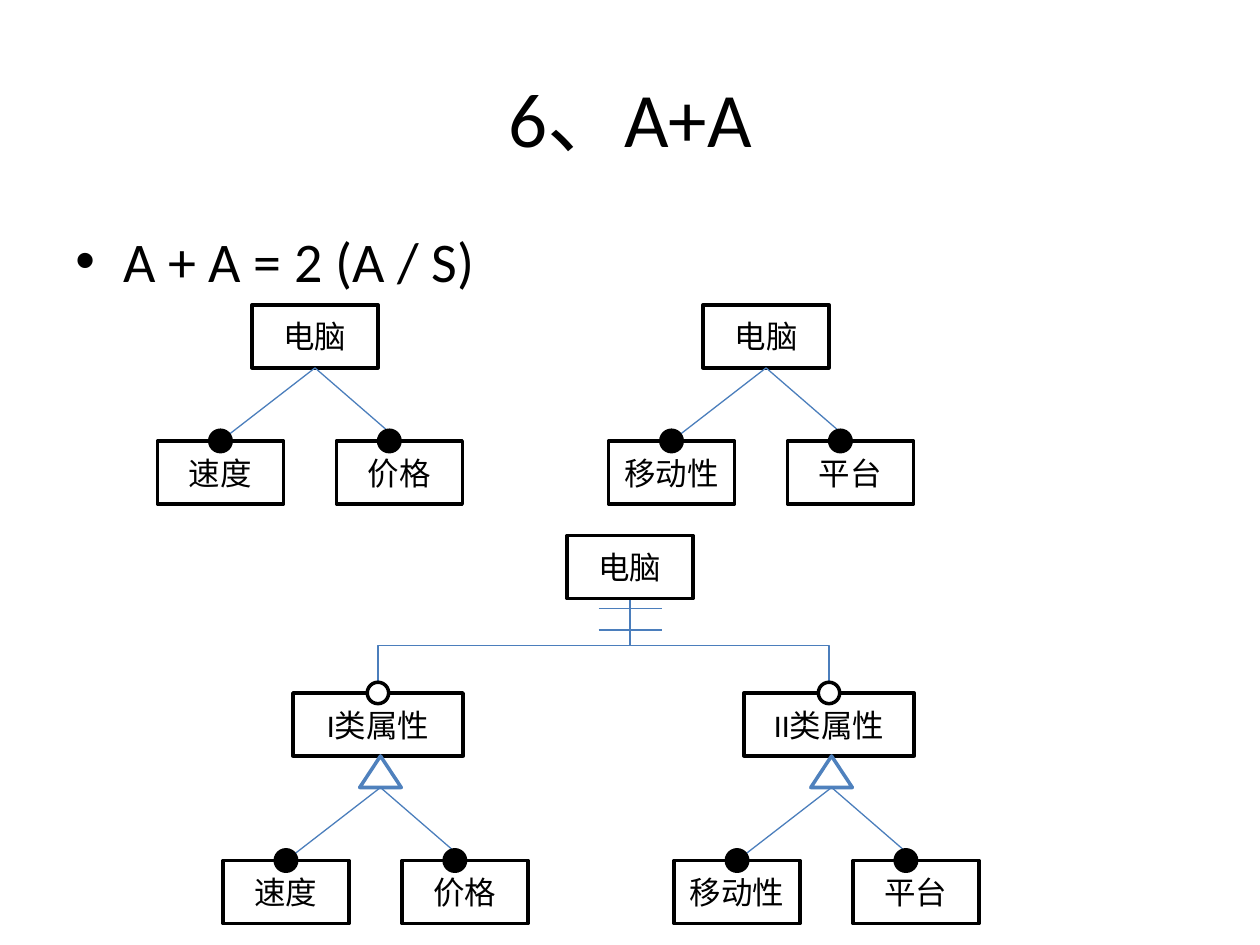
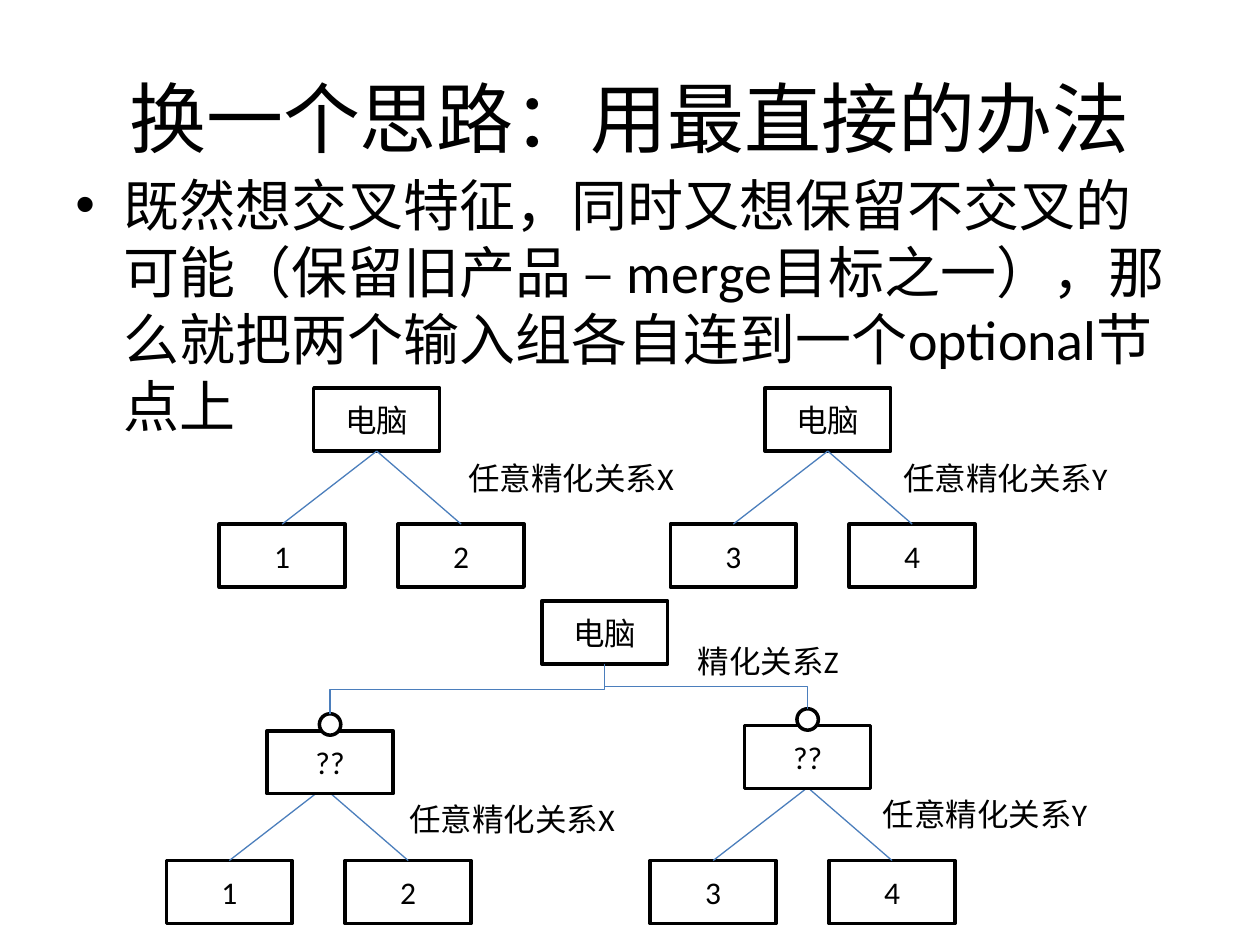
import dataclasses

import pptx
import pptx.dml.color
import pptx.enum.shapes
import pptx.enum.text
import pptx.oxml.ns
import pptx.util
from lxml import etree

Inches = pptx.util.Inches
Shape = pptx.enum.shapes.MSO_SHAPE
Link = pptx.enum.shapes.MSO_CONNECTOR
Align = pptx.enum.text.PP_ALIGN
Anchor = pptx.enum.text.MSO_ANCHOR
qn = pptx.oxml.ns.qn


@dataclasses.dataclass
class Theme:
    font: str = "Calibri"
    ink: str = "000000"
    paper: str = "FFFFFF"
    wire: str = "4B7EBC"
    edge: str = "4F81BD"
    head: int = 44
    body: int = 32
    note: int = 18
    thick: float = 2
    thin: float = 0.75


def rgb(code):
    return pptx.dml.color.RGBColor.from_string(code)


def write(shape, text, *, size, color, font, align=Align.LEFT,
          anchor=Anchor.TOP, bullet=False):
    """Put one formatted paragraph into a shape."""
    frame = shape.text_frame
    frame.word_wrap = True
    frame.vertical_anchor = anchor
    para = frame.paragraphs[0]
    para.text = text
    para.alignment = align
    if bullet:
        props = para._p.get_or_add_pPr()
        props.set("marL", str(Inches(0.38)))
        props.set("indent", str(-Inches(0.38)))
        etree.SubElement(props, qn("a:buFont")).set("typeface", "Arial")
        etree.SubElement(props, qn("a:buChar")).set("char", "•")
    run = para.runs[0].font
    run.size = pptx.util.Pt(size)
    run.name = font
    run.color.rgb = rgb(color)


class Deck:
    # Offsets from the fork's tip to its two boxes
    BOX_W, BOX_H = 1, 0.5
    LEFT, RIGHT, DROP = -0.75, 0.67, 0.58
    DOT = 0.17
    # Wide enough to keep a label on one line
    NOTE_W = 2.1

    def __init__(self, theme):
        self.theme = theme
        self.prs = pptx.Presentation()
        self.prs.slide_width = Inches(10)
        self.prs.slide_height = Inches(7.5)
        self.slide = None

    def page(self, title, point, top):
        """Start a slide with its title and bullet."""
        self.slide = self.prs.slides.add_slide(self.prs.slide_layouts[6])
        self.text(title, 0.5, 0.3, 9, 1.25, size=self.theme.head,
                  align=Align.CENTER, anchor=Anchor.MIDDLE)
        self.text(point, 0.5, top, 9, 4.95, size=self.theme.body, bullet=True)

    def style(self, **form):
        base = dict(size=self.theme.note, color=self.theme.ink,
                    font=self.theme.font)
        return base | form

    def text(self, text, x, y, w=NOTE_W, h=0.4, **form):
        box = self.slide.shapes.add_textbox(
            Inches(x), Inches(y), Inches(w), Inches(h))
        write(box, text, **self.style(**form))

    def shape(self, kind, x, y, w, h, fill=None, line=None):
        """Add a shape centred on x, with its top at y."""
        item = self.slide.shapes.add_shape(
            kind, Inches(x - w / 2), Inches(y), Inches(w), Inches(h))
        item.shadow.inherit = False
        item.fill.solid()
        item.fill.fore_color.rgb = rgb(fill or self.theme.paper)
        item.line.color.rgb = rgb(line or self.theme.ink)
        item.line.width = pptx.util.Pt(self.theme.thick)
        return item

    def box(self, text, x, y, w=BOX_W):
        item = self.shape(Shape.RECTANGLE, x, y, w, self.BOX_H)
        write(item, text, **self.style(align=Align.CENTER,
                                       anchor=Anchor.MIDDLE))

    def dot(self, x, y, fill=None):
        """Add a circle centred on x, y."""
        self.shape(Shape.OVAL, x, y - self.DOT / 2, self.DOT, self.DOT, fill)

    def line(self, x1, y1, x2, y2, kind=Link.STRAIGHT):
        item = self.slide.shapes.add_connector(
            kind, Inches(x1), Inches(y1), Inches(x2), Inches(y2))
        item.line.color.rgb = rgb(self.theme.wire)
        item.line.width = pptx.util.Pt(self.theme.thin)
        etree.SubElement(item._element.spPr, qn("a:effectLst"))
        return item

    def elbow(self, x1, y1, x2, y2):
        """Run down, across and down: an elbow turned on its side."""
        across, down = abs(x2 - x1), y2 - y1
        left = (x1 + x2 - down) / 2
        top = (y1 + y2 - across) / 2
        item = self.line(left, top, left + down, top + across, Link.ELBOW)
        form = item._element.spPr.find(qn("a:xfrm"))
        form.set("rot", str((90 if x2 < x1 else 270) * 60000))
        if x2 > x1:
            form.set("flipH", "1")

    def fork(self, x, y, names, dots=False):
        """Draw two boxes hanging from the tip x, y."""
        base = y + self.DROP
        for name, shift in zip(names, (self.LEFT, self.RIGHT)):
            self.box(name, x + shift, base)
            self.line(x, y, x + shift, base)
        if dots:
            for shift in (self.LEFT, self.RIGHT - 0.08):
                self.dot(x + shift, base, self.theme.ink)

    def tree(self, x, y, names, dots=False):
        self.box("电脑", x, y)
        self.fork(x, y + self.BOX_H, names, dots)


def sum_page(deck):
    deck.page("6、A+A", "A + A = 2 (A / S)", 1.75)
    pairs = (("速度", "价格"), ("移动性", "平台"))

    # Two input trees
    for x, names in zip((2.5, 6.08), pairs):
        deck.tree(x, 2.42, names, dots=True)

    # Merged tree
    for x, kind, names in zip((3, 6.58), ("I类属性", "II类属性"), pairs):
        deck.elbow(5, 4.75, x, 5.5)
        deck.box(kind, x, 5.5, 1.35)
        deck.dot(x, 5.5)
        deck.shape(Shape.ISOSCELES_TRIANGLE, x + 0.02, 6, 0.33, 0.25,
                   line=deck.theme.edge)
        deck.fork(x + 0.02, 6.25, names, dots=True)
    for y in (4.83, 5):
        deck.line(4.75, y, 5.25, y)
    deck.box("电脑", 5, 4.25)


def link_page(deck):
    deck.page("换一个思路：用最直接的办法",
              "既然想交叉特征，同时又想保留不交叉的可能（保留旧产品 – merge目标之一），"
              "那么就把两个输入组各自连到一个optional节点上", 1.3)
    pairs = (("1", "2"), ("3", "4"))
    notes = ("任意精化关系X", "任意精化关系Y")

    # Two input trees
    for x, names, note, left in zip((2.99, 6.57), pairs, notes, (3.62, 7.07)):
        deck.tree(x, 3.08, names)
        deck.text(note, left, 3.59)

    # Merged tree with optional nodes
    deck.box("电脑", 4.8, 4.77)
    spots = ((2.57, 2.62, 5.8, 3.15, 6.3), (6.41, 6.41, 5.76, 6.91, 6.26))
    for (tip, x, y, left, top), names, note in zip(spots, pairs, notes):
        deck.fork(tip, 6.25, names)
        deck.text(note, left, top)
        deck.box("??", x, y)
        deck.dot(x, y - 0.05)
        deck.elbow(4.8, 5.27, x, y - 0.13)
    deck.text("精化关系Z", 5.44, 5.05)


def main():
    deck = Deck(Theme())
    sum_page(deck)
    link_page(deck)
    deck.prs.save("out.pptx")


if __name__ == "__main__":
    main()
